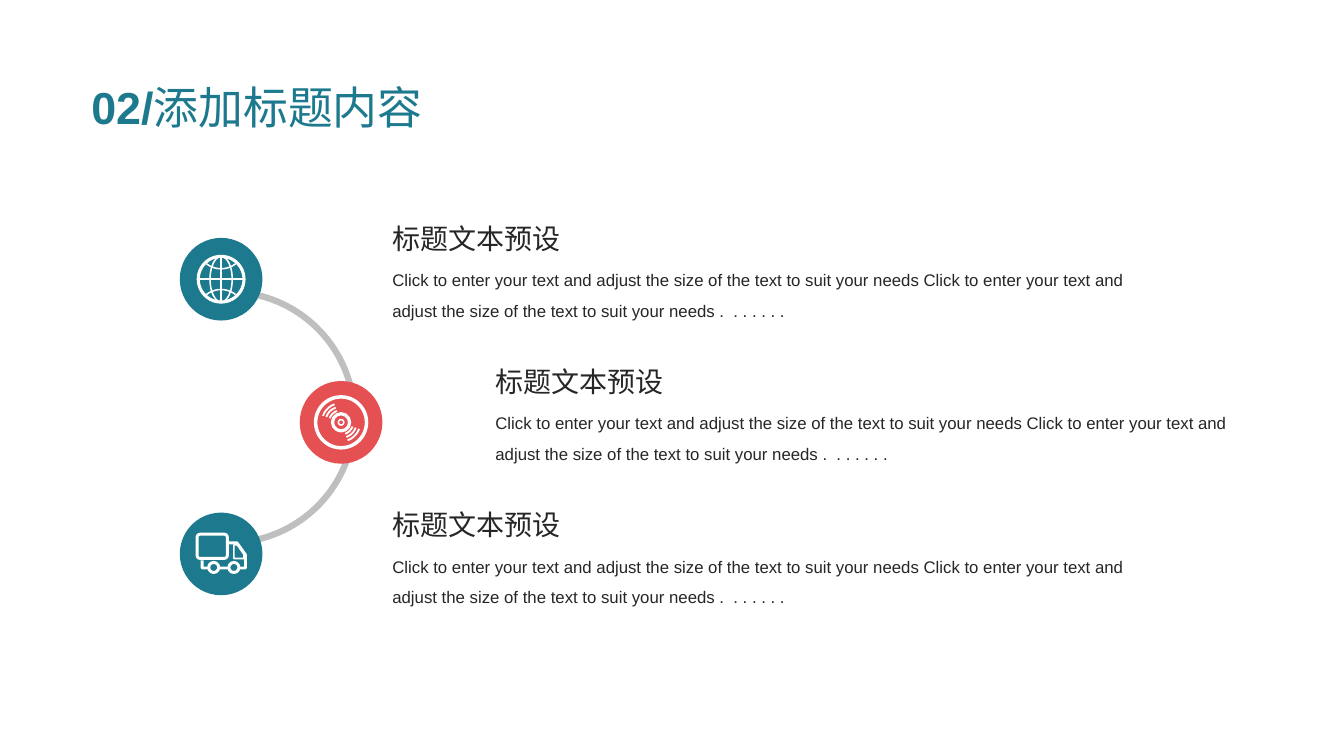
import math

from lxml import etree
from pptx import Presentation
from pptx import util as u
from pptx.dml.color import RGBColor
from pptx.enum import shapes, text
from pptx.oxml import ns

TEAL = RGBColor(0x1D, 0x79, 0x8D)
RED = RGBColor(0xE5, 0x50, 0x52)
GREY = RGBColor(0xBF, 0xBF, 0xBF)
INK = RGBColor(0x26, 0x26, 0x26)
WHITE = RGBColor(0xFF, 0xFF, 0xFF)
KIND = shapes.MSO_SHAPE
CJK = "Noto Sans CJK SC"

presentation = Presentation()
presentation.slide_width = u.Inches(13.33)
presentation.slide_height = u.Inches(7.5)
cell = presentation.slide_height // 75
slide = presentation.slides.add_slide(presentation.slide_layouts[5])


def draw(kind, center, size, fill=None, line=None, weight=1, angles=(), rotation=0):
    (x, y), (width, height) = center, size
    shape = slide.shapes.add_shape(
        kind, round((x - width / 2) * cell), round((y - height / 2) * cell),
        round(width * cell), round(height * cell))
    shape.shadow.inherit = False
    shape.rotation = rotation
    for index, angle in enumerate(angles):
        shape.adjustments[index] = angle * 0.6
    if fill is None:
        shape.fill.background()
    else:
        shape.fill.solid()
        shape.fill.fore_color.rgb = fill
    if line is None:
        shape.line.fill.background()
    else:
        shape.line.color.rgb = line
        shape.line.width = u.Pt(weight)
    return shape


def write(paragraph, words, size, color, font="Arial", bold=False, spacing=None):
    paragraph.line_spacing = spacing
    paragraph.alignment = text.PP_ALIGN.LEFT
    run = paragraph.add_run()
    run.text = words
    run.font.size = u.Pt(size)
    run.font.color.rgb = color
    run.font.name = font
    run.font.bold = bold
    east_asian = etree.SubElement(run._r.get_or_add_rPr(), ns.qn("a:ea"))
    east_asian.set("typeface", CJK)


title = slide.shapes.title
title.left, title.top = round(8.05 * cell), round(7.4 * cell)
title.width, title.height = round(40.6 * cell), round(6.4 * cell)
title.text_frame.auto_size = text.MSO_AUTO_SIZE.NONE
title.text_frame.vertical_anchor = text.MSO_ANCHOR.MIDDLE
heading = title.text_frame.paragraphs[0]
write(heading, "02/", 32, TEAL, bold=True)
write(heading, "添加标题内容", 32, TEAL, font=CJK)

draw(KIND.ARC, (22.7, 41.4), (24.9, 24.9), line=GREY, weight=4.5,
     angles=(226.4, 43.07), rotation=44.3)

globe, disc, truck = (21.93, 27.7), (33.83, 41.9), (21.93, 54.95)
for center, color in ((globe, TEAL), (disc, RED), (truck, TEAL)):
    draw(KIND.OVAL, center, (8.2, 8.2), fill=color)

globe_x, globe_y = globe
radius = 2.27
for width, weight in ((2 * radius, 2.2), (2.2, 1.1)):
    draw(KIND.OVAL, globe, (width, 2 * radius), line=WHITE, weight=weight)
for dx, dy in ((radius, 0), (0, radius)):
    axis = slide.shapes.add_connector(
        shapes.MSO_CONNECTOR.STRAIGHT,
        round((globe_x - dx) * cell), round((globe_y - dy) * cell),
        round((globe_x + dx) * cell), round((globe_y + dy) * cell))
    axis.line.color.rgb = WHITE
    axis.line.width = u.Pt(1.1)
    etree.SubElement(axis._element.spPr, ns.qn("a:effectLst"))
for side, angles in ((-1, (52, 128)), (1, (232, 308))):
    draw(KIND.ARC, (globe_x, globe_y + side * 3.38), (4.7, 4.7),
         line=WHITE, weight=1.1, angles=angles)

for diameter, weight in ((5.05, 2.5), (1.7, 2.3), (0.54, 1.1)):
    draw(KIND.OVAL, disc, (diameter, diameter), line=WHITE, weight=weight)

cargo = draw(KIND.ROUNDED_RECTANGLE, (21.05, 54.2), (3, 2.4), line=WHITE, weight=2.1)
cargo.adjustments[0] = 0.12
chassis = ((2005, 5560), (2005, 5635), (2435, 5635), (2435, 5505), (2350, 5385), (2270, 5385))
window = ((2320, 5405), (2355, 5405), (2420, 5500), (2420, 5540), (2320, 5540))
outlines = [(chassis, False, 2.1), (window, True, 1.2)]
for groove_radius in (120, 155, 190):
    for start in (20, 200):
        turns = [math.radians(start + step) for step in range(0, 51, 5)]
        groove = [(round(disc[0] * 100 + groove_radius * math.cos(turn)),
                   round(disc[1] * 100 + groove_radius * math.sin(turn))) for turn in turns]
        outlines.append((groove, False, 1.3))
for points, closed, weight in outlines:
    builder = slide.shapes.build_freeform(*points[0], scale=cell / 100)
    builder.add_line_segments(points[1:], close=closed)
    outline = builder.convert_to_shape()
    outline.shadow.inherit = False
    outline.fill.background()
    outline.line.color.rgb = WHITE
    outline.line.width = u.Pt(weight)
for wheel_x in (21.2, 23.2):
    draw(KIND.OVAL, (wheel_x, 56.3), (1, 1), fill=TEAL, line=WHITE, weight=2.1)

sentence = "Click to enter your text and adjust the size of the text to suit your needs"
body = f"{sentence} {sentence} .  . . . . . ."
for row, left in enumerate((37.93, 48.15, 37.93)):
    top = 21.45 + 14.2 * row
    for words, offset, width, height, size, spacing in (
            ("标题文本预设", 0, 20.4, 4.4, 20, None),
            (body, 3.85, 78.8, 6.7, 12, 1.5)):
        box = slide.shapes.add_textbox(
            round(left * cell), round((top + offset) * cell),
            round(width * cell), round(height * cell))
        box.text_frame.word_wrap = True
        write(box.text_frame.paragraphs[0], words, size, INK, spacing=spacing)

presentation.save("out.pptx")
